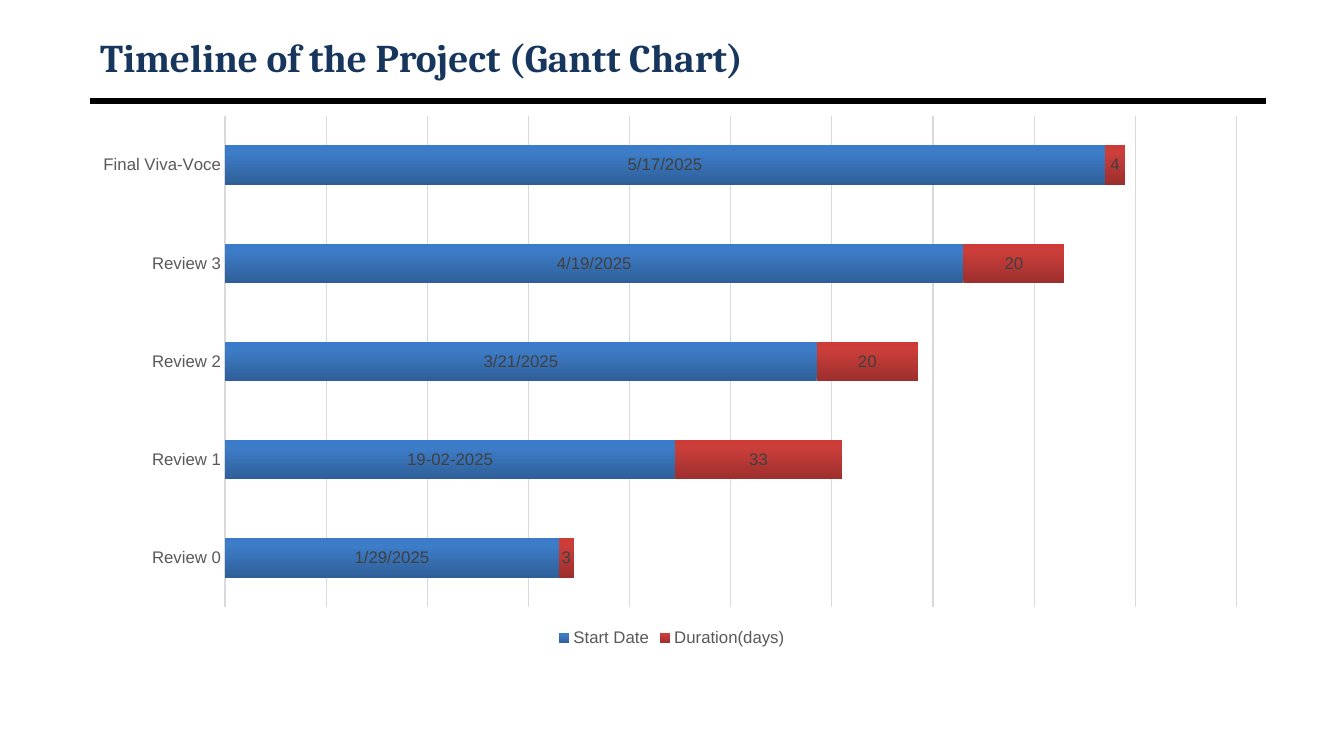
from dataclasses import dataclass

from lxml import etree
from pptx import Presentation
from pptx.chart.data import CategoryChartData
from pptx.dml.color import RGBColor
from pptx.enum.chart import (XL_CHART_TYPE, XL_LABEL_POSITION,
                             XL_LEGEND_POSITION, XL_TICK_MARK)
from pptx.enum.shapes import MSO_CONNECTOR
from pptx.enum.text import MSO_ANCHOR, PP_ALIGN
from pptx.oxml import parse_xml
from pptx.oxml.ns import nsdecls, qn
from pptx.util import Pt

STACKED = XL_CHART_TYPE.BAR_STACKED
CENTER = XL_LABEL_POSITION.CENTER
BOTTOM = XL_LEGEND_POSITION.BOTTOM
NO_TICK = XL_TICK_MARK.NONE
STRAIGHT = MSO_CONNECTOR.STRAIGHT
MIDDLE = MSO_ANCHOR.MIDDLE
LEFT = PP_ALIGN.LEFT

EMU_PER_PX = 914400 / 100.8
TITLE_ONLY = 5
DATE_FORMAT = "m/d/yyyy"


@dataclass(frozen=True)
class Theme:
    title_font: str = "Cambria"
    chart_font: str = "Arial"
    title_size: int = 28
    chart_size: int = 12
    title: str = "17365D"
    rule: str = "000000"
    axis_text: str = "595959"
    label_text: str = "404040"
    grid: str = "D9D9D9"
    start_bar: tuple = ((0, "2F5F99"), (80, "3D7CC7"), (100, "3A7CCB"))
    duration_bar: tuple = ((0, "9C2F2D"), (80, "CB3E3A"), (100, "CE3B37"))


THEME = Theme()

# Milestone, start as a date serial, duration in days
MILESTONES = [
    ("Review 0", 45686, 3),
    ("Review 1", 45709, 33),
    ("Review 2", 45737, 20),
    ("Review 3", 45766, 20),
    ("Final Viva-Voce", 45794, 4),
]
CUSTOM_START_LABELS = {1: "19-02-2025"}


def px(n):
    return round(n * EMU_PER_PX)


def set_font(font, name, size, color, bold=False):
    font.name, font.size, font.bold = name, Pt(size), bold
    font.color.rgb = RGBColor.from_string(color)


def set_line(line, color, width):
    line.color.rgb = RGBColor.from_string(color)
    line.width = Pt(width)


def fill_gradient(series, stops):
    """Fill the bars with a gradient that runs from bottom to top."""
    series.format.fill.solid()
    solid = series.format.fill._xPr.find(qn("a:solidFill"))
    gs = "".join(f'<a:gs pos="{pos * 1000}"><a:srgbClr val="{color}"/></a:gs>'
                 for pos, color in stops)
    gradient = parse_xml(
        f'<a:gradFill {nsdecls("a")} rotWithShape="1"><a:gsLst>{gs}</a:gsLst>'
        '<a:lin ang="16200000" scaled="0"/></a:gradFill>')
    solid.getparent().replace(solid, gradient)


def place_plot(chart, x, y, w, h):
    """Fix the inner plot area, in fractions of the chart's box."""
    plot_area = chart._chartSpace.find(f'.//{qn("c:plotArea")}')
    for layout in plot_area.findall(qn("c:layout")):
        plot_area.remove(layout)
    sizes = "".join(f'<c:{tag} val="{value}"/>'
                    for tag, value in zip("xywh", (x, y, w, h)))
    plot_area.insert(0, parse_xml(
        f'<c:layout {nsdecls("c")}><c:manualLayout>'
        '<c:layoutTarget val="inner"/><c:xMode val="edge"/>'
        f'<c:yMode val="edge"/>{sizes}</c:manualLayout></c:layout>'))


def add_heading(slide, text, x, y, w, h):
    title = slide.shapes.title
    title.left, title.top, title.width, title.height = map(px, (x, y, w, h))
    tf = title.text_frame
    tf.text = text
    tf.vertical_anchor = MIDDLE
    p = tf.paragraphs[0]
    p.alignment = LEFT
    set_font(p.font, THEME.title_font, THEME.title_size, THEME.title, True)

    rule_y = px(y + h + 18)
    rule = slide.shapes.add_connector(STRAIGHT, px(x), rule_y, px(x + w), rule_y)
    set_line(rule.line, THEME.rule, 4.5)
    etree.SubElement(rule._element.spPr, qn("a:effectLst"))


def style_series(series, stops, number_format):
    fill_gradient(series, stops)
    labels = series.data_labels
    labels.show_value = True
    labels.position = CENTER
    labels.number_format = number_format
    labels.number_format_is_linked = False
    set_font(labels.font, THEME.chart_font, THEME.chart_size, THEME.label_text)


def add_gantt(slide, x, y, w, h):
    names, starts, durations = zip(*MILESTONES)
    data = CategoryChartData()
    data.categories = names
    data.add_series("Start Date", starts, DATE_FORMAT)
    data.add_series("Duration(days)", durations)
    chart = slide.shapes.add_chart(STACKED, *map(px, (x, y, w, h)), data).chart
    chart.has_title = False
    set_font(chart.font, THEME.chart_font, THEME.chart_size, THEME.axis_text)
    place_plot(chart, 0.12, 0.02, 0.86, 0.9)

    plot = chart.plots[0]
    plot.gap_width, plot.overlap, plot.vary_by_categories = 150, 100, False
    start, duration = plot.series
    style_series(start, THEME.start_bar, DATE_FORMAT)
    style_series(duration, THEME.duration_bar, "General")
    for index, text in CUSTOM_START_LABELS.items():
        label = start.points[index].data_label
        label.text_frame.text = text
        label.position = CENTER
        set_font(label.text_frame.paragraphs[0].font, THEME.chart_font,
                 THEME.chart_size, THEME.label_text)

    milestones = chart.category_axis
    milestones.major_tick_mark = milestones.minor_tick_mark = NO_TICK
    set_line(milestones.format.line, THEME.grid, 1)

    dates = chart.value_axis
    dates.minimum_scale, dates.maximum_scale, dates.major_unit = 45620, 45820, 20
    dates.tick_labels.number_format = DATE_FORMAT
    dates.tick_labels.number_format_is_linked = False
    dates.has_major_gridlines = True
    set_line(dates.major_gridlines.format.line, THEME.grid, 0.75)
    dates.visible = False

    chart.has_legend = True
    chart.legend.position = BOTTOM
    chart.legend.include_in_layout = False
    set_font(chart.legend.font, THEME.chart_font, THEME.chart_size, THEME.axis_text)


def main():
    prs = Presentation()
    prs.slide_width, prs.slide_height = px(1344), px(756)
    slide = prs.slides.add_slide(prs.slide_layouts[TITLE_ONLY])
    add_heading(slide, "Timeline of the Project (Gantt Chart)", 90, 30, 1176, 53)
    add_gantt(slide, 84, 105, 1176, 546)
    prs.save("out.pptx")


if __name__ == "__main__":
    main()
